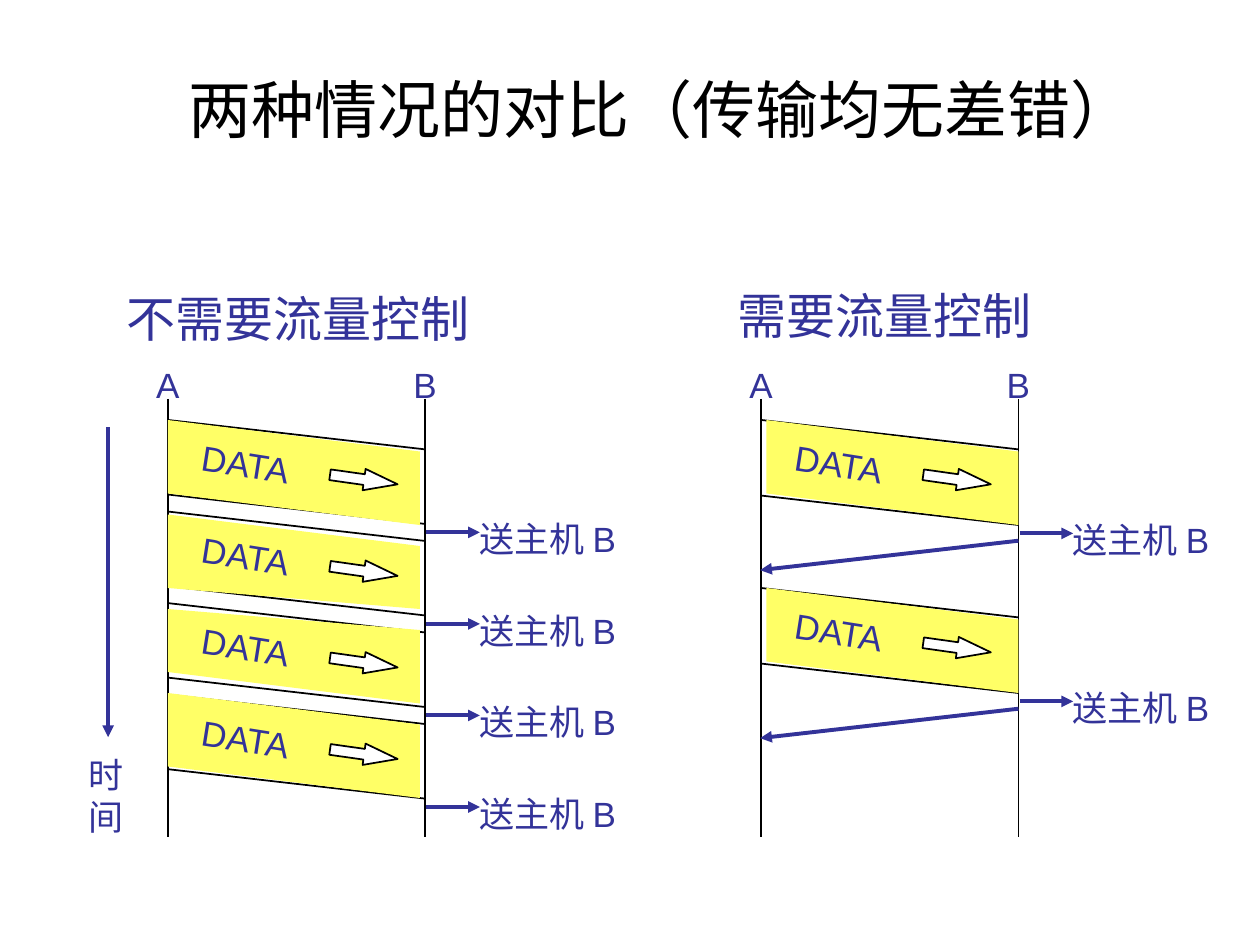
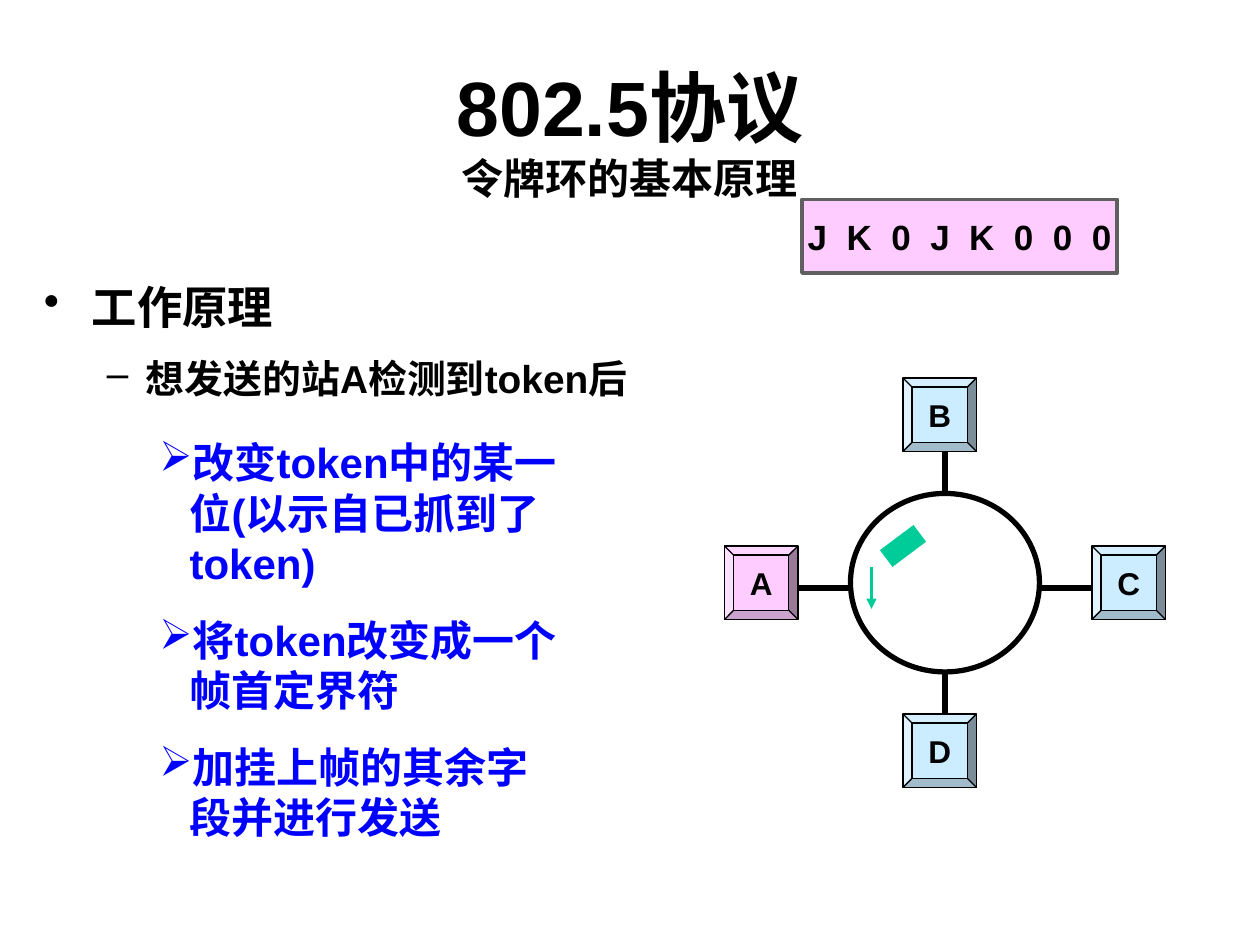
from lxml import etree
from pptx import Presentation
from pptx.dml.color import RGBColor
from pptx.enum.shapes import MSO_CONNECTOR, MSO_SHAPE
from pptx.enum.text import MSO_ANCHOR, MSO_AUTO_SIZE, PP_ALIGN
from pptx.oxml.ns import qn
from pptx.util import Inches, Pt

STRAIGHT = MSO_CONNECTOR.STRAIGHT
RECT, OVAL, BEVEL, ARROW = (
    MSO_SHAPE.RECTANGLE, MSO_SHAPE.OVAL, MSO_SHAPE.BEVEL, MSO_SHAPE.RIGHT_ARROW)
MIDDLE, CENTER = MSO_ANCHOR.MIDDLE, PP_ALIGN.CENTER
GROW, FIXED = MSO_AUTO_SIZE.SHAPE_TO_FIT_TEXT, MSO_AUTO_SIZE.NONE

rgb = RGBColor.from_string
BLACK, WHITE, NAVY, BLUE = "000000", "FFFFFF", "333399", "0000FF"
YELLOW, PINK, SKY, GREEN, GRAY = "FFFF66", "FFCCFF", "CCECFF", "00CC99", "5F5F5F"
SANS, SERIF, HEAD = "Arial", "Times New Roman", "Roboto"

deck = Presentation()
deck.slide_width, deck.slide_height = Inches(10), Inches(7.5)
UNIT = deck.slide_width / 120


def ink(paras, size, color, font=SANS, bold=False):
    for para in paras:
        for run in para.runs:
            run.font.size, run.font.name, run.font.bold = Pt(size), font, bold
            run.font.color.rgb = rgb(color)


def link(slide, ends, color, width, tip=False):
    wire = slide.shapes.add_connector(STRAIGHT, *[int(n * UNIT) for n in ends])
    wire.line.color.rgb = rgb(color)
    wire.line.width = Pt(width)
    props = wire._element.spPr
    if tip:
        etree.SubElement(props.find(qn("a:ln")), qn("a:tailEnd"), type="triangle")
    etree.SubElement(props, qn("a:effectLst"))


slides = []
for text, area, font, sizes, bold in [
    ("两种情况的对比（传输均无差错）", (15.6, 5.3, 94.7, 10.1), SERIF, [36], False),
    ("802.5协议\v令牌环的基本原理", (9, 5, 102, 15), SANS, [44, 24], True),
]:
    slide = deck.slides.add_slide(deck.slide_layouts[5])
    title = slide.shapes.title
    title.left, title.top, title.width, title.height = [int(n * UNIT) for n in area]
    frame = title.text_frame
    frame.text = text
    frame.auto_size, frame.vertical_anchor = FIXED, MIDDLE
    para = frame.paragraphs[0]
    para.alignment = CENTER
    ink([para], sizes[0], BLACK, font, bold)
    for run, size in zip(para.runs, sizes):
        run.font.size = Pt(size)
    slides.append(slide)
flow, ring = slides

SPAN, DROP, TOP = 24.5, 2.8, 40
labels = [
    ("不需要流量控制", 10.9, 26.9, 35, 6.8, 28, HEAD, 0),
    ("需要流量控制", 69.1, 26.6, 30.4, 6.8, 28, HEAD, 0),
    ("时\n间", 7.3, 71.2, 5.8, 9.1, 20, SANS, 0),
]
link(flow, (10.3, 40.7, 10.3, 70.2), NAVY, 2.25, True)
for left, count, step, thick, reply in [
    (16, 4, 8.72, 7.1, False), (72.5, 2, 16, 7.2, True),
]:
    right = left + SPAN
    for name, x in [("A", left), ("B", right)]:
        link(flow, (x, 38, x, 79.7), BLACK, 1)
        labels.append((name, x - 2.3, 34, 4.6, 5.2, 20, SANS, 0))
    for i in range(count):
        top = TOP + i * step
        for y in (top, top + thick):
            link(flow, (left, y, right, y + DROP), BLACK, 1)

        x1, x2, y1, y2 = left + 0.2, right - 0.3, top + 0.2, top + 0.2 + DROP
        pen = flow.shapes.build_freeform(x1, y1, scale=UNIT)
        pen.add_line_segments([(x2, y2), (x2, y2 + 6.6), (x1, y1 + 6.6)])
        band = pen.convert_to_shape()
        band.shadow.inherit = False
        band.fill.solid()
        band.fill.fore_color.rgb = rgb(YELLOW)
        band.line.fill.background()

        spot = (left + 15.4, top + 4.65, 6.5, 2.05)
        arrow = flow.shapes.add_shape(ARROW, *[int(n * UNIT) for n in spot])
        arrow.adjustments[1] = 1.57
        arrow.rotation = 8
        arrow.shadow.inherit = False
        arrow.fill.solid()
        arrow.fill.fore_color.rgb = rgb(WHITE)
        arrow.line.color.rgb = rgb(BLACK)
        arrow.line.width = Pt(1)
        labels.append(("DATA", left + 2, top + 1.6, 11.3, 5.2, 20, SANS, 9))

        send = top + thick + DROP + 0.8
        link(flow, (right + 0.1, send, right + 5.2, send), NAVY, 2.25, True)
        labels.append(("送主机 B", right + 4, send - 2, 17, 5.2, 20, SANS, 0))
        if reply:
            ends = (right, send + 0.7, left - 0.1, send + 0.7 + DROP)
            link(flow, ends, NAVY, 2.25, True)

for text, x, y, w, h, size, font, turn in labels:
    box = flow.shapes.add_textbox(*[int(n * UNIT) for n in (x, y, w, h)])
    box.rotation = turn
    frame = box.text_frame
    frame.text = text
    frame.word_wrap, frame.auto_size = False, GROW
    ink(frame.paragraphs, size, NAVY, font)

for ends in [(90, 43, 90, 47), (105, 56, 99, 56), (90, 64, 90, 68), (81, 56, 75, 56)]:
    link(ring, ends, BLACK, 3)
link(ring, (83, 54, 83, 58), GREEN, 1.5, True)

for kind, text, area, fill, edge, width, size, turn in [
    (RECT, "", (84, 51, 4, 2), GREEN, None, 0, 18, 323.2),
    (OVAL, "", (81, 47, 18, 17), None, BLACK, 3, 18, 0),
    (BEVEL, "A", (69, 52, 7, 7), PINK, BLACK, 0.75, 18, 0),
    (BEVEL, "B", (86, 36, 7, 7), SKY, BLACK, 0.75, 18, 0),
    (BEVEL, "C", (104, 52, 7, 7), SKY, BLACK, 0.75, 18, 0),
    (BEVEL, "D", (86, 68, 7, 7), SKY, BLACK, 0.75, 18, 0),
    (RECT, "J K 0 J K 0 0 0", (76.4, 19, 30, 7), PINK, GRAY, 2.25, 20, 0),
]:
    item = ring.shapes.add_shape(kind, *[int(n * UNIT) for n in area])
    item.rotation = turn
    item.shadow.inherit = False
    if fill:
        item.fill.solid()
        item.fill.fore_color.rgb = rgb(fill)
    else:
        item.fill.background()
    if edge:
        item.line.color.rgb = rgb(edge)
        item.line.width = Pt(width)
    else:
        item.line.fill.background()
    if text:
        frame = item.text_frame
        frame.text = text
        frame.word_wrap, frame.vertical_anchor = False, MIDDLE
        para = frame.paragraphs[0]
        para.alignment = CENTER
        ink([para], size, BLACK, SANS, True)
        if len(text) > 1:
            para.runs[0].font._element.set("spc", "278")

for area, points in [
    ((3, 26, 64, 14), [
        ("工作原理", "•", 0.38, 0.38, 25.9, BLACK, SERIF, 1),
        ("想发送的站A检测到token后", "–", 0.81, 0.31, 22.2, BLACK, SANS, 0.9),
    ]),
    ((14, 41, 41, 39.8), [
        (text, "➢", 0.24, 0.24, 24, BLUE, SANS, 1)
        for text in ("改变token中的某一位(以示自已抓到了token)",
                     "将token改变成一个帧首定界符", "加挂上帧的其余字段并进行发送")
    ]),
]:
    box = ring.shapes.add_textbox(*[int(n * UNIT) for n in area])
    frame = box.text_frame
    frame.word_wrap = True
    frame.text = "\n".join(point[0] for point in points)
    for i, (para, point) in enumerate(zip(frame.paragraphs, points)):
        mark, inset, hang, size, color, font, pitch = point[1:]
        props = para._p.get_or_add_pPr()
        props.set("marL", str(Inches(inset)))
        props.set("indent", str(-Inches(hang)))
        tint = etree.SubElement(props, qn("a:buClr"))
        etree.SubElement(tint, qn("a:srgbClr"), val=color)
        etree.SubElement(props, qn("a:buChar"), char=mark)
        para.line_spacing = pitch
        if i:
            para.space_before = Pt(15)
        ink([para], size, color, font, True)

deck.save("out.pptx")
